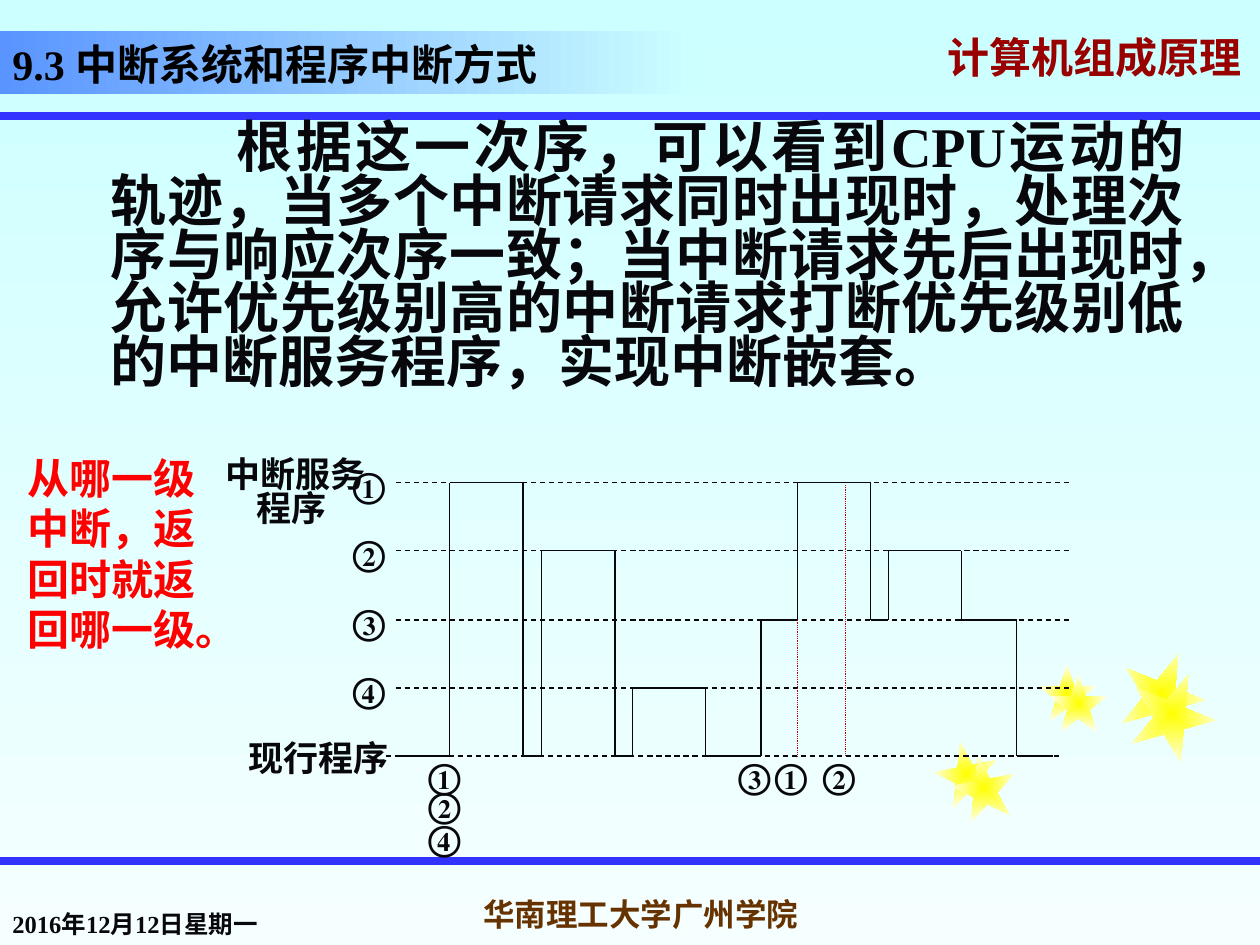
import pptx
import pptx.util
import pptx.dml.color
import pptx.enum.dml
import pptx.enum.shapes
import pptx.enum.text
import pptx.oxml
import pptx.oxml.ns

Inches = pptx.util.Inches
Pt = pptx.util.Pt
DASH = pptx.enum.dml.MSO_LINE
ANCHOR = pptx.enum.text.MSO_ANCHOR
ALIGN = pptx.enum.text.PP_ALIGN
SHAPE = pptx.enum.shapes.MSO_SHAPE
qn = pptx.oxml.ns.qn
NS = pptx.oxml.ns.nsdecls("a")

SERIF = "Times New Roman"
SANS = "Noto Sans CJK SC"
INK = "08080C"
LEVELS = [3.83, 4.37, 4.92, 5.46, 6]
WAVE = [(3.14, 4), (3.57, 0), (4.15, 4), (4.3, 1), (4.88, 4), (5.02, 3), (5.6, 4),
        (6.04, 2), (6.33, 0), (6.91, 2), (7.05, 1), (7.63, 2), (8.07, 4)]
WAVE_END = 8.36
REQUESTS = [("①", 3.3, 5.94), ("②", 3.3, 6.17), ("④", 3.3, 6.43),
            ("③", 5.76, 5.94), ("①", 6.05, 5.94), ("②", 6.43, 5.94)]
STARS = [(7.42, 5.89, 0.5, 349), (8.24, 5.27, 0.46, 0), (8.89, 5.17, 0.67, 22),
         (7.56, 6, 0.5, 349), (8.33, 5.35, 0.46, 0), (8.97, 5.33, 0.67, 22)]


def rgb(value):
    return pptx.dml.color.RGBColor.from_string(value)


def set_gradient(fill, start, end, angle=0):
    fill.gradient()
    fill.gradient_angle = angle
    for stop, color in zip(fill.gradient_stops, (start, end)):
        stop.color.rgb = rgb(color)


def add_run(p, text, size, color, font=SERIF, shadow=False):
    r = p.add_run()
    r.text = text
    r.font.size = Pt(size)
    r.font.bold = True
    r.font.name = font
    r.font.color.rgb = rgb(color)
    rPr = r.font._element
    ea = pptx.oxml.parse_xml(f'<a:ea {NS} typeface="{SANS}"/>')
    rPr.find(qn("a:latin")).addnext(ea)
    if shadow:
        rPr.find(qn("a:solidFill")).addnext(pptx.oxml.parse_xml(
            f'<a:effectLst {NS}><a:outerShdw dist="38100" dir="2700000">'
            '<a:srgbClr val="808080"/></a:outerShdw></a:effectLst>'))


def format_paragraph(p, align=None, spacing=None, before=None, margin=0, indent=0):
    p.alignment = align
    p.line_spacing = spacing
    if before:
        p.space_before = Pt(before)
    if margin or indent:
        pPr = p._p.get_or_add_pPr()
        pPr.set("marL", str(Inches(margin)))
        pPr.set("indent", str(Inches(indent)))


def add_text(slide, text, box, size=20, color=INK, font=SERIF, anchor=ANCHOR.TOP,
             wrap=True, shadow=False, **paragraph):
    sp = slide.shapes.add_textbox(*map(Inches, box))
    tf = sp.text_frame
    tf.word_wrap = wrap
    tf.vertical_anchor = anchor
    p = tf.paragraphs[0]
    format_paragraph(p, **paragraph)
    add_run(p, text, size, color, font, shadow)
    return tf


def add_line(slide, start, end, color=INK, width=0.75, dash=None):
    line = slide.shapes.add_connector(pptx.enum.shapes.MSO_CONNECTOR.STRAIGHT,
                                      *map(Inches, (*start, *end)))
    line.line.color.rgb = rgb(color)
    line.line.width = Pt(width)
    if dash:
        line.line.dash_style = dash
    line._element.spPr.append(pptx.oxml.parse_xml(f"<a:effectLst {NS}/>"))


def add_star(slide, x, y, size, rotation):
    sp = slide.shapes.add_shape(SHAPE.STAR_5_POINT, *map(Inches, (x, y, size, size)))
    sp.rotation = rotation
    sp.shadow.inherit = False
    sp.line.fill.background()
    set_gradient(sp.fill, "FFFF00", "FFFFF5")
    lin = sp._element.spPr.find(qn("a:gradFill")).find(qn("a:lin"))
    lin.getparent().replace(lin, pptx.oxml.parse_xml(
        f'<a:path {NS} path="shape"><a:fillToRect l="50000" t="50000" '
        'r="50000" b="50000"/></a:path>'))


def add_title(slide):
    sp = slide.shapes.add_shape(SHAPE.RECTANGLE, *map(Inches, (0, 0.25, 5.5, 0.5)))
    sp.shadow.inherit = False
    sp.line.fill.background()
    set_gradient(sp.fill, "5994FF", "CCFFFF")
    tf = sp.text_frame
    tf.word_wrap = True
    tf.vertical_anchor = ANCHOR.BOTTOM
    p = tf.paragraphs[0]
    format_paragraph(p, align=ALIGN.JUSTIFY, spacing=0.8)
    add_run(p, "9.3 ", 24, "000000")
    add_run(p, "中断系统和程序中断方式", 24, "000000", SANS)


def add_frame(slide):
    add_text(slide, "计算机组成原理", (7.42, 0.25, 2.58, 0.5), size=24, color="990000",
             font=SANS, anchor=ANCHOR.MIDDLE, shadow=True, spacing=0.7)
    for y in (0.92, 6.83):
        add_line(slide, (0, y), (10, y), "3333FF", 4.5)
    for star in STARS:
        add_star(slide, *star)
    add_text(slide, "2016年12月12日星期一", (0, 7, 2.21, 0.5), size=14,
             anchor=ANCHOR.BOTTOM)
    add_text(slide, "华南理工大学广州学院", (3.5, 7, 3.17, 0.5), size=18, color="663300",
             anchor=ANCHOR.MIDDLE, wrap=False, align=ALIGN.CENTER)


def add_timing_diagram(slide):
    for y in LEVELS:
        shift = 0.08 if y == LEVELS[-1] else 0
        add_line(slide, (3.14 - shift, y), (8.5 - shift, y), dash=DASH.DASH)

    ends = [x for x, _ in WAVE[1:]] + [WAVE_END]
    previous = None
    for (x, level), end in zip(WAVE, ends):
        y = LEVELS[level]
        if previous is not None:
            add_line(slide, (x, previous), (x, y))
        add_line(slide, (x, y), (end, y))
        previous = y

    tf = add_text(slide, "中断服务", (1.69, 3.54, 1.52, 0.7))
    p = tf.add_paragraph()
    format_paragraph(p, spacing=0.3, before=10, margin=0.25)
    add_run(p, "程序", 20, INK)
    add_text(slide, "现行程序", (1.87, 5.8, 1.52, 0.43))

    for mark, y in zip("①②③④", LEVELS):
        add_text(slide, mark, (2.7, y - 0.2, 1.45, 0.43))
    for mark, x, y in REQUESTS:
        add_text(slide, mark, (x, y, 1.45, 0.43))
    for x, y in ((6.71, 3.85), (6.33, 4.92)):
        add_line(slide, (x, y), (x, LEVELS[-1]), "C00000", 0.5, DASH.ROUND_DOT)


def main():
    prs = pptx.Presentation()
    prs.slide_width = Inches(10)
    prs.slide_height = Inches(7.5)
    slide = prs.slides.add_slide(prs.slide_layouts[6])
    set_gradient(slide.background.fill, "CCFFFF", "F5FFFF", 270)
    add_frame(slide)
    add_title(slide)
    add_text(slide, "根据这一次序，可以看到CPU运动的轨迹，当多个中断请求同时出现时，"
             "处理次序与响应次序一致；当中断请求先后出现时，允许优先级别高的中断请求"
             "打断优先级别低的中断服务程序，实现中断嵌套。", (0.4, 0.94, 9.1, 2.6), size=32,
             align=ALIGN.JUSTIFY, spacing=0.8, margin=0.38, indent=1)
    add_timing_diagram(slide)
    add_text(slide, "从哪一级中断，返回时就返回哪一级。", (0.12, 3.54, 1.56, 1.72),
             size=24, color="FF0000")
    prs.save("out.pptx")


if __name__ == "__main__":
    main()
